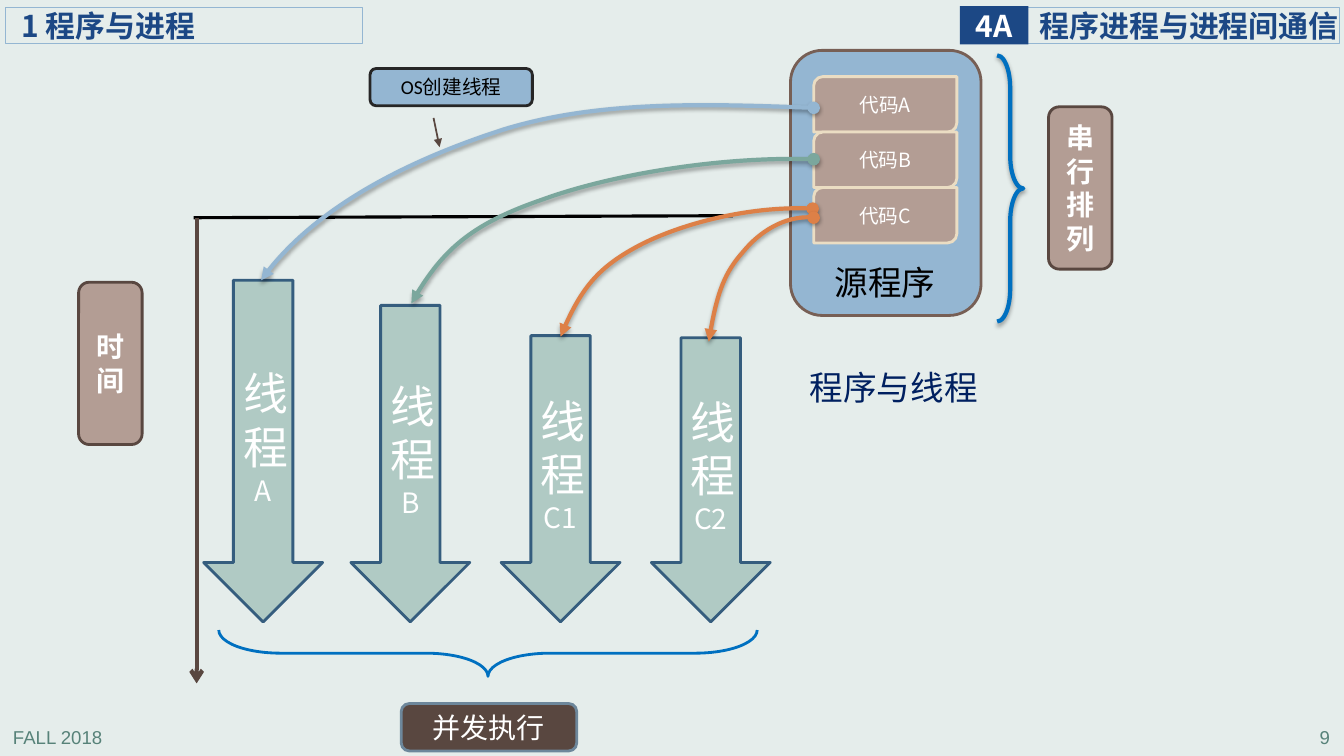
from lxml.etree import SubElement
from pptx import Presentation
from pptx.dml.color import RGBColor
from pptx.enum.shapes import MSO_CONNECTOR, MSO_SHAPE as Preset
from pptx.enum.text import MSO_ANCHOR as Anchor, MSO_AUTO_SIZE, PP_ALIGN as Align
from pptx.oxml.ns import qn
from pptx.util import Pt

PX = 9144  # 100 px to the inch
CJK = "Noto Sans CJK SC"
WHITE = RGBColor(0xFF, 0xFF, 0xFF)
BLACK = RGBColor(0x00, 0x00, 0x00)
CHARCOAL = RGBColor(0x26, 0x26, 0x26)
BACKDROP = RGBColor(0xE5, 0xED, 0xEB)
NAVY = RGBColor(0x1C, 0x48, 0x85)
TITLE_BLUE = RGBColor(0x00, 0x20, 0x60)
SKY = RGBColor(0x94, 0xB6, 0xD2)
SAGE = RGBColor(0xB0, 0xCA, 0xC4)
STEEL = RGBColor(0x35, 0x5D, 0x7E)
SLATE = RGBColor(0x6D, 0x87, 0x9B)
GREEN = RGBColor(0x7B, 0xA7, 0x9D)
ORANGE = RGBColor(0xDD, 0x80, 0x47)
BRACE_BLUE = RGBColor(0x00, 0x70, 0xC0)
BROWN = RGBColor(0x59, 0x47, 0x40)
PANEL_BROWN = RGBColor(0x77, 0x5F, 0x55)
TAUPE = RGBColor(0xB3, 0x9D, 0x94)
CREAM = RGBColor(0xEB, 0xDD, 0xC3)
FOOTER_GREEN = RGBColor(0x57, 0x82, 0x79)


def outline(shape, color, width, head=None, tail=None, shadow=False):
    """Set the line, its arrowheads, and either a soft shadow or none."""
    shape.line.color.rgb = color
    shape.line.width = Pt(width)
    properties = shape._element.spPr
    line = properties.find(qn("a:ln"))
    for tag, kind in (("a:headEnd", head), ("a:tailEnd", tail)):
        if kind:
            SubElement(line, qn(tag), type=kind)
    effects = SubElement(properties, qn("a:effectLst"))
    if shadow:
        outer = SubElement(effects, qn("a:outerShdw"), blurRad=str(Pt(3.1)),
                           dist=str(Pt(1.8)), dir="5400000", rotWithShape="0")
        black = SubElement(outer, qn("a:srgbClr"), val="000000")
        SubElement(black, qn("a:alpha"), val="35000")


def write(shape, runs, color, align=Align.CENTER, font=CJK, bold=False, insets=None, wrap=True):
    """Fill a shape with one paragraph of (text, point size) runs."""
    frame = shape.text_frame
    frame.auto_size = MSO_AUTO_SIZE.NONE
    frame.word_wrap = wrap
    frame.vertical_anchor = Anchor.MIDDLE
    if insets:
        (frame.margin_left, frame.margin_top,
         frame.margin_right, frame.margin_bottom) = [PX * inset for inset in insets]
    paragraph = frame.paragraphs[0]
    paragraph.alignment = align
    for text, size in runs:
        run = paragraph.add_run()
        run.text = text
        run.font.size = Pt(size)
        run.font.bold = bold
        run.font.color.rgb = color
        run.font.name = font
        SubElement(run._r.get_or_add_rPr(), qn("a:ea"), typeface=CJK)


presentation = Presentation()
presentation.slide_width = 1333 * PX
presentation.slide_height = 750 * PX
slide = presentation.slides.add_slide(presentation.slide_layouts[5])
slide.background.fill.solid()
slide.background.fill.fore_color.rgb = BACKDROP
shapes = slide.shapes

# Title
title = shapes.title
title.left, title.top, title.width, title.height = [PX * n for n in (795, 343, 184, 87)]
write(title, [("程序与线程", 24)], TITLE_BLUE, Align.LEFT, insets=(8, 4, 8, 4))
title.text_frame.paragraphs[0].line_spacing = 0.9

# Footer
for left, text, align in ((3, "FALL 2018", Align.LEFT), (1051, "9", Align.RIGHT)):
    footer = shapes.add_textbox(left * PX, 716 * PX, 278 * PX, 31 * PX)
    write(footer, [(text, 13.3)], FOOTER_GREEN, align, font="Arial")

# Header
for left, width, text, inset in ((1019, 310, "程序进程与进程间通信", 12), (5, 355, "1 程序与进程", 16)):
    header = shapes.add_shape(Preset.RECTANGLE, left * PX, 7 * PX, width * PX, 36 * PX)
    header.fill.background()
    outline(header, SKY, 0.75)
    write(header, [(text, 21.4)], NAVY, Align.LEFT, bold=True, insets=(inset, 0, 0, 0))
badge = shapes.add_shape(Preset.RECTANGLE, 952 * PX, 6 * PX, 68 * PX, 38 * PX)
badge.fill.solid()
badge.fill.fore_color.rgb = NAVY
badge.shadow.inherit = False
badge.line.fill.background()
write(badge, [("4A", 21.4)], WHITE, bold=True, insets=(0, 0, 0, 0), wrap=False)

# Threads
for left, top, name in ((202, 278, "A"), (348, 303, "B"), (497, 333, "C1"), (646, 335, "C2")):
    thread = shapes.add_shape(Preset.DOWN_ARROW, left * PX, top * PX, 118 * PX, (617 - top) * PX)
    thread.fill.solid()
    thread.fill.fore_color.rgb = SAGE
    outline(thread, STEEL, 2)
    write(thread, [("线程", 32), (name, 20)], WHITE)

# Time axis and the pointer to thread creation
for start_x, start_y, end_x, end_y, color, width, tail in (
    (192, 216, 727, 214, BLACK, 2.25, None),
    (195, 216, 195, 678, BROWN, 3, "arrow"),
    (430, 117, 436, 146, BROWN, 1.25, "triangle"),
):
    connector = shapes.add_connector(
        MSO_CONNECTOR.STRAIGHT, start_x * PX, start_y * PX, end_x * PX, end_y * PX)
    outline(connector, color, width, tail=tail)

# Source program panel, code blocks and labels
code_blocks = [
    (Preset.ROUND_2_DIAG_RECTANGLE, 807, 76 + 55 * row, 142, 55, TAUPE, CREAM,
     f"代码{letter}", 14, WHITE, CJK, False)
    for row, letter in enumerate("ABC")
]
labels = [
    (Preset.ROUNDED_RECTANGLE, 367, 68, 161, 37, SKY, CHARCOAL, "OS创建线程", 14, BLACK, "Calibri", False),
    (Preset.ROUNDED_RECTANGLE, 1040, 106, 63, 161, TAUPE, BROWN, "串行排列", 20, WHITE, CJK, True),
    (Preset.FLOWCHART_ALTERNATE_PROCESS, 398, 698, 174, 47, BROWN, SLATE, "并发执行", 20, WHITE, CJK, False),
    (Preset.ROUNDED_RECTANGLE, 78, 280, 63, 161, TAUPE, BROWN, "时间", 20, WHITE, CJK, True),
]
panel = (Preset.ROUNDED_RECTANGLE, 784, 50, 189, 263, SKY, PANEL_BROWN, None, 0, BLACK, CJK, False)
for preset, left, top, width, height, fill, edge, text, size, color, font, bold in (
    [panel] + code_blocks + labels
):
    box = shapes.add_shape(preset, left * PX, top * PX, width * PX, height * PX)
    box.fill.solid()
    box.fill.fore_color.rgb = fill
    outline(box, edge, 2)
    if text:
        write(box, [(text, size)], color, font=font, bold=bold)
program_label = shapes.add_textbox(818 * PX, 255 * PX, 121 * PX, 50 * PX)
write(program_label, [("源程序", 24)], BLACK, Align.LEFT, wrap=False)

# Curves from code to threads: a start, then three Bezier points per segment
for color, points in (
    (SKY, [(807, 107), (700, 103), (593, 100), (501, 128), (410, 157), (310, 206), (259, 278)]),
    (GREEN, [(807, 158), (713, 155), (604, 174), (538, 198), (471, 221), (437, 249), (408, 301)]),
    (ORANGE, [(806, 207), (747, 204), (679, 221), (637, 242), (596, 263), (575, 287), (556, 334)]),
    (ORANGE, [(807, 216), (782, 213), (754, 229), (737, 250), (719, 270), (710, 294), (703, 339)]),
):
    builder = shapes.build_freeform(*points[0], scale=PX)
    builder.add_line_segments(points[1:], close=False)
    curve = builder.convert_to_shape()
    outline_path = next(curve._element.iter(qn("a:path")))
    segments = outline_path.findall(qn("a:lnTo"))
    for first in range(0, len(segments), 3):
        bezier = SubElement(outline_path, qn("a:cubicBezTo"))
        for segment in segments[first:first + 3]:
            bezier.append(segment[0])
            outline_path.remove(segment)
    curve.fill.background()
    outline(curve, color, 3, head="oval", tail="triangle", shadow=True)

# Braces
for left, top, width, height, bend, rotation, flipped, weight in (
    (461, 381, 46, 534, 1.336, 270, False, 2),
    (989, 55, 26, 264, 1.245, 0, True, 3),
):
    brace = shapes.add_shape(Preset.LEFT_BRACE, left * PX, top * PX, width * PX, height * PX)
    brace.adjustments[0] = bend
    brace.rotation = rotation
    if flipped:
        brace._element.spPr.xfrm.set("flipH", "1")
    brace.fill.background()
    outline(brace, BRACE_BLUE, weight, shadow=flipped)

presentation.save("out.pptx")
